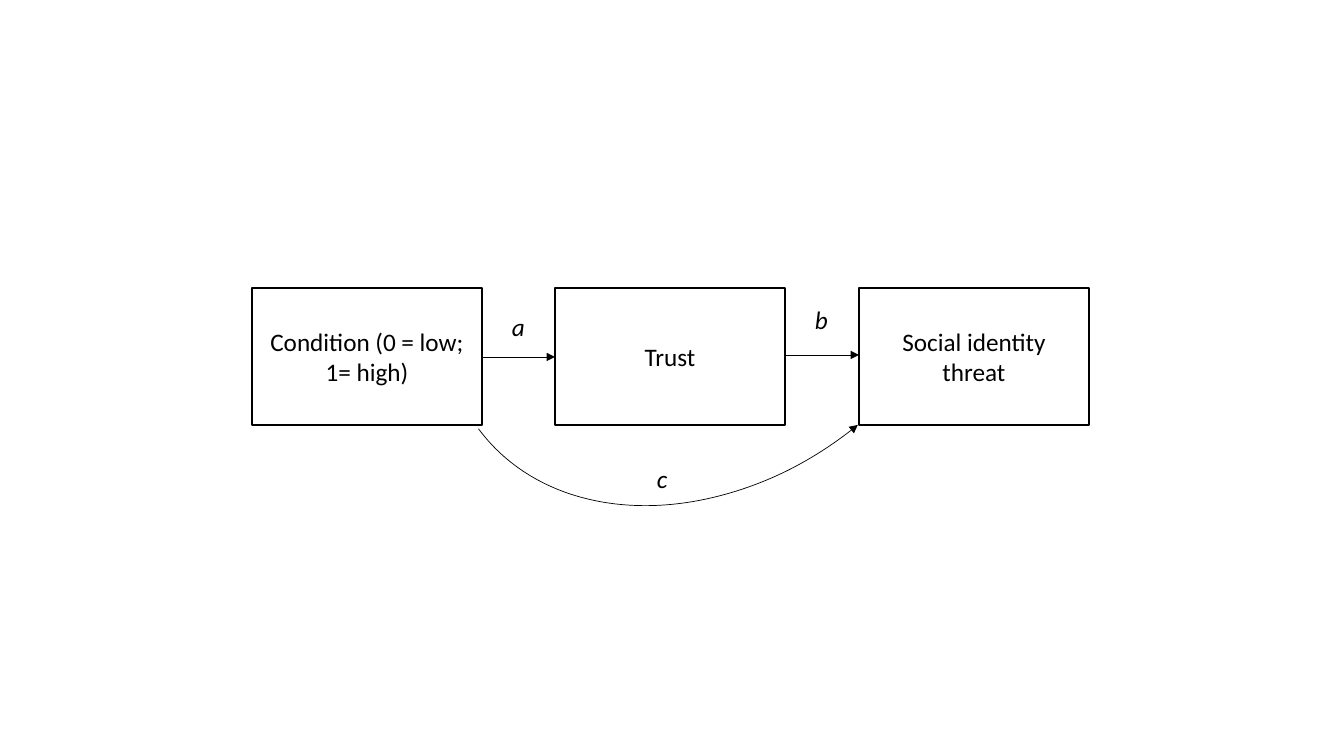
"""Draw a mediation model: condition, trust and social identity threat."""
import pptx
import pptx.dml.color
import pptx.enum.shapes
import pptx.enum.text
import pptx.oxml.ns
import pptx.util
from lxml import etree

COLORS = {"ink": "000000"}
SCALE = 914400 / 100.8
SHAPES = pptx.enum.shapes.MSO_SHAPE
TEXT = pptx.enum.text


def px(*values):
    return [pptx.util.Emu(round(v * SCALE)) for v in values]


def set_formats(target, formats):
    for name, value in formats.items():
        setattr(target, name, value)


class Diagram:
    def __init__(self, prs):
        self.slide = prs.slides.add_slide(prs.slide_layouts[6])
        self.ink = pptx.dml.color.RGBColor.from_string(COLORS["ink"])
        self.font = {"name": "Calibri", "size": pptx.util.Pt(18)}

    def outline(self, sp, width, arrow=None):
        sp.line.color.rgb = self.ink
        sp.line.width = pptx.util.Pt(width)
        if arrow:
            ln = sp.line._get_or_add_ln()
            etree.SubElement(ln, pptx.oxml.ns.qn(f"a:{arrow}"), type="triangle")

    def add_text(self, sp, text, frame, align, italic=False):
        tf = sp.text_frame
        set_formats(tf, frame)
        p = tf.paragraphs[0]
        p.alignment = align
        r = p.add_run()
        r.text = text
        set_formats(r.font, {**self.font, "italic": italic})
        r.font.color.rgb = self.ink

    def shape(self, kind, box, width, arrow=None):
        sp = self.slide.shapes.add_shape(kind, *px(*box))
        sp.shadow.inherit = False
        sp.fill.background()
        self.outline(sp, width, arrow)
        return sp

    def node(self, text, box):
        sp = self.shape(SHAPES.RECTANGLE, box, 1)
        frame = {"word_wrap": True, "vertical_anchor": TEXT.MSO_ANCHOR.MIDDLE}
        self.add_text(sp, text, frame, TEXT.PP_ALIGN.CENTER)

    def arrow(self, x1, x2, y):
        kind = pptx.enum.shapes.MSO_CONNECTOR.STRAIGHT
        sp = self.slide.shapes.add_connector(kind, *px(x1, y, x2, y))
        self.outline(sp, 0.5, "tailEnd")
        etree.SubElement(sp._element.spPr, pptx.oxml.ns.qn("a:effectLst"))

    def arc(self, box, rotation, angles):
        sp = self.shape(SHAPES.ARC, box, 0.5, "headEnd")
        sp.rotation = rotation
        for i, angle in enumerate(angles):
            sp.adjustments[i] = angle

    def label(self, text, box):
        sp = self.slide.shapes.add_textbox(*px(*box))
        frame = {"word_wrap": False, "auto_size": TEXT.MSO_AUTO_SIZE.SHAPE_TO_FIT_TEXT}
        self.add_text(sp, text, frame, TEXT.PP_ALIGN.LEFT, italic=True)


prs = pptx.Presentation()
prs.slide_width, prs.slide_height = px(1344, 756)
diagram = Diagram(prs)

NODES = ["Condition (0 = low; 1= high)", "Trust", "Social identity threat"]
NODE_W, NODE_H, NODE_TOP = 230, 137, 288
lefts = [252 + 607 * i // 2 for i in range(len(NODES))]

for text, left in zip(NODES, lefts):
    diagram.node(text, (left, NODE_TOP, NODE_W, NODE_H))
for left, target, y in zip(lefts, lefts[1:], (357, 355)):
    diagram.arrow(left + NODE_W, target, y)
diagram.arc((417, 20, 594, 456), 140.9, (162, 0.95))
for text, left, top, width in (("a", 502, 306, 33), ("b", 805, 299, 34), ("c", 647, 458, 31)):
    diagram.label(text, (left, top, width, 40))

prs.save("out.pptx")
